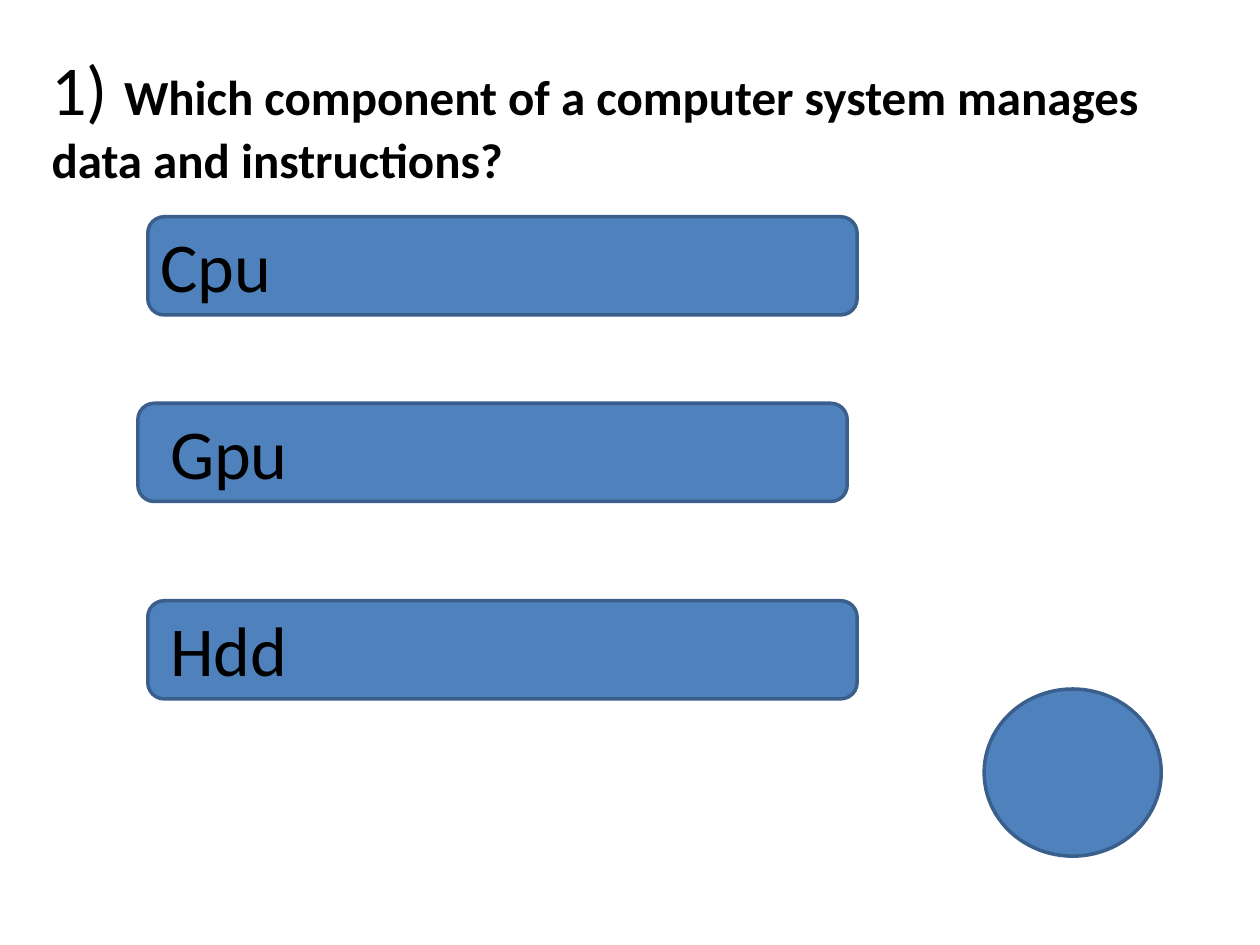
from pptx import Presentation
from pptx.dml.color import RGBColor
from pptx.enum.shapes import MSO_SHAPE
from pptx.util import Cm, Pt

COLORS = {"fill": "4F81BD", "outline": "3A5F8C", "text": "000000"}
FONT = "Calibri"


def add_blue_shape(slide, preset, left, top, width, height):
    """Draw an outlined blue preset shape in the given box (cm)."""
    shape = slide.shapes.add_shape(preset, Cm(left), Cm(top), Cm(width), Cm(height))
    shape.shadow.inherit = False
    shape.fill.solid()
    shape.fill.fore_color.rgb = RGBColor.from_string(COLORS["fill"])
    shape.line.color.rgb = RGBColor.from_string(COLORS["outline"])
    shape.line.width = Pt(2)


def add_text(slide, left, top, width, height, runs):
    """Write one paragraph of (text, size, bold) runs in the given box (cm)."""
    box = slide.shapes.add_textbox(Cm(left), Cm(top), Cm(width), Cm(height))
    box.text_frame.word_wrap = True
    paragraph = box.text_frame.paragraphs[0]
    for text, size, bold in runs:
        run = paragraph.add_run()
        run.text = text
        run.font.name = FONT
        run.font.size = Pt(size)
        run.font.bold = bold
        run.font.color.rgb = RGBColor.from_string(COLORS["text"])


def add_answer(slide, left, top, answer, indent):
    """Place an answer bar with its label, indented from the bar's left edge."""
    width, height = 14.3, 1.98
    add_blue_shape(slide, MSO_SHAPE.ROUNDED_RECTANGLE, left, top, width, height)
    add_text(slide, left + indent, top, width - 2 * indent, height, [(answer, 40, False)])


def add_question_slide(presentation):
    """Build the question, its three answers and the round button."""
    slide = presentation.slides.add_slide(presentation.slide_layouts[6])
    add_text(slide, 0.79, 0.79, 23.02, 3.18, [
        ("1) ", 40, False),
        ("Which component of a computer system manages data and instructions?", 28, True),
    ])
    for left, top, answer, indent in [
        (2.98, 4.37, "Cpu", 0),
        (2.78, 8.13, "Gpu", 0.4),
        (2.98, 12.11, "Hdd", 0.2),
    ]:
        add_answer(slide, left, top, answer, indent)
    add_blue_shape(slide, MSO_SHAPE.OVAL, 19.84, 13.89, 3.57, 3.37)


presentation = Presentation()
presentation.slide_width = Cm(25.4)
presentation.slide_height = Cm(19.05)
add_question_slide(presentation)
presentation.save("out.pptx")
